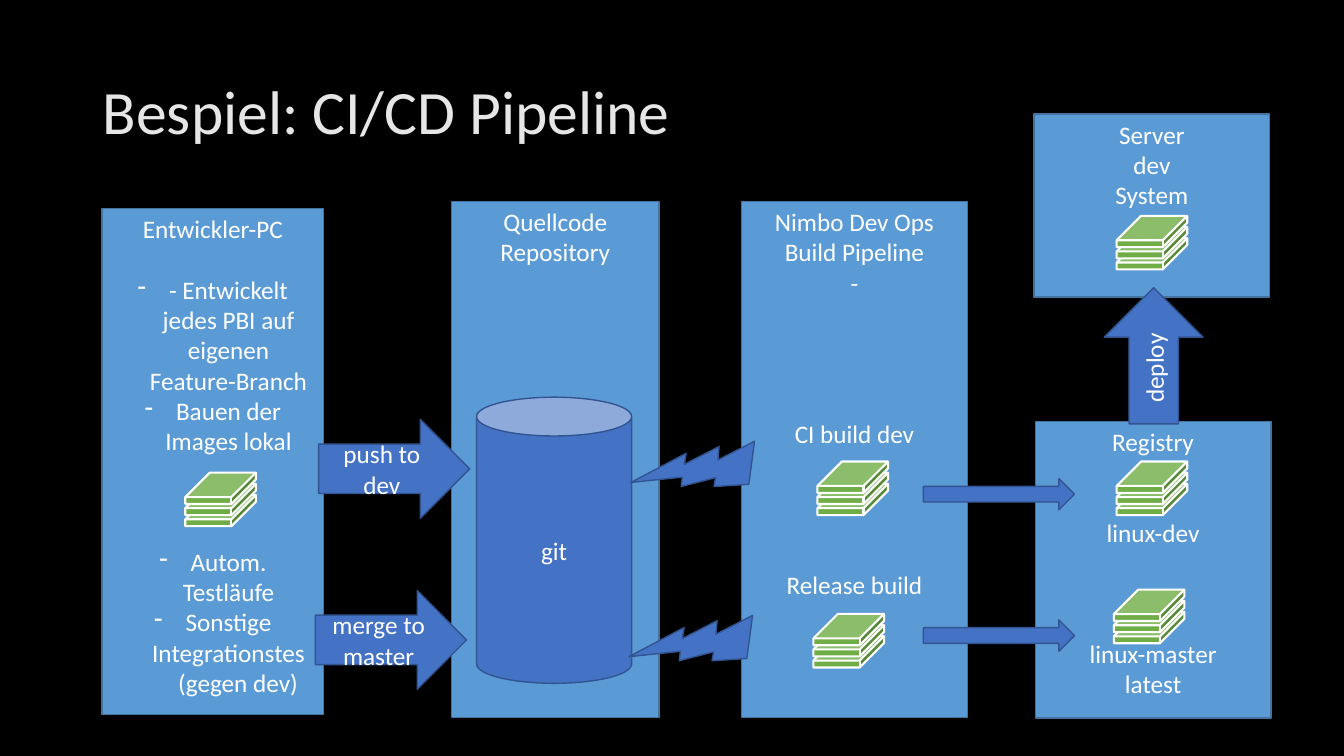
from dataclasses import dataclass

from lxml.etree import SubElement
from pptx import Presentation
from pptx.dml.color import RGBColor
from pptx.enum.shapes import MSO_SHAPE as Kind
from pptx.enum.text import MSO_ANCHOR as Anchor, PP_ALIGN as Align
from pptx.oxml.ns import qn
from pptx.util import Cm, Pt

FONT = "Calibri"
SIZE = 18
ROW = 21.6  # height of one text row in points
WHITE = "FFFFFF"
BLUE, EDGE = "4472C4", "325491"
PALE, RIM = "5B9BD5", "43739E"
GREEN = "70AD47"


@dataclass
class Line:
    text: str
    skip: int = 0  # free rows above
    dash: bool = False


@dataclass
class Part:
    kind: Kind
    left: float
    top: float
    width: float
    height: float
    lines: tuple[Line, ...] = ()
    turn: float = 0


@dataclass
class Stack:
    left: float
    top: float


def color(code: str) -> RGBColor:
    return RGBColor.from_string(code)


def style(font, size: int, code: str) -> None:
    font.name, font.size = FONT, Pt(size)
    font.color.rgb = color(code)


def add_dash(para) -> None:
    props = para._p.get_or_add_pPr()
    props.set("marL", str(Cm(0.79)))
    props.set("indent", str(-Cm(0.79)))
    SubElement(props, qn("a:buFontTx"))
    SubElement(props, qn("a:buChar")).set("char", "-")


def write(frame, lines: tuple[Line, ...], anchor: Anchor) -> None:
    frame.word_wrap = True
    frame.vertical_anchor = anchor
    for i, line in enumerate(lines):
        para = frame.add_paragraph() if i else frame.paragraphs[0]
        para.text = line.text
        para.alignment = Align.CENTER
        style(para.font, SIZE, WHITE)
        if line.skip:
            para.space_before = Pt(line.skip * ROW)
        if line.dash:
            add_dash(para)


def draw(shapes, part: Part, fill: str, edge: str, width: float = 1,
         anchor: Anchor = Anchor.MIDDLE):
    shape = shapes.add_shape(part.kind, Cm(part.left), Cm(part.top),
                             Cm(part.width), Cm(part.height))
    shape.shadow.inherit = False
    shape.fill.solid()
    shape.fill.fore_color.rgb = color(fill)
    shape.line.color.rgb = color(edge)
    shape.line.width = Pt(width)
    shape.rotation = part.turn
    if part.lines:
        write(shape.text_frame, part.lines, anchor)
    return shape


def draw_stack(shapes, stack: Stack) -> None:
    group = shapes.add_group_shape()
    for i in (2, 1, 0):  # lowest layer first
        layer = Part(Kind.CUBE, stack.left, stack.top + i * 0.28, 1.78, 0.79)
        cube = draw(group.shapes, layer, GREEN, WHITE, 1.5)
        cube.adjustments[0] = 0.78


BOXES = (
    Part(Kind.RECTANGLE, 2.57, 5.26, 5.59, 12.75, (
        Line("Entwickler-PC"),
        Line("- Entwickelt jedes PBI auf eigenen Feature-Branch", 1, True),
        Line("Bauen der Images lokal", 0, True),
        Line("Autom. Testläufe", 3, True),
        Line("Sonstige Integrationstes", 0, True),
        Line("\t(gegen dev)"))),
    Part(Kind.RECTANGLE, 11.38, 5.08, 5.23, 13,
         (Line("Quellcode"), Line("Repository"))),
    Part(Kind.RECTANGLE, 18.69, 5.08, 5.69, 13, (
        Line("Nimbo Dev Ops"), Line("Build Pipeline"), Line("-"),
        Line("CI build dev", 4), Line("Release build", 4))),
    Part(Kind.RECTANGLE, 26.09, 10.62, 5.94, 7.47, (
        Line("Registry"), Line("linux-dev", 2),
        Line("linux-master", 3), Line("latest"))),
    Part(Kind.RECTANGLE, 26.06, 2.87, 5.94, 4.62,
         (Line("Server"), Line("dev"), Line("System"))),
)

FLOW = (
    Part(Kind.CAN, 12.01, 10.01, 3.91, 7.21, (Line("git"),)),
    Part(Kind.RIGHT_ARROW, 8.03, 10.57, 3.81, 2.49, (Line("push to dev"),)),
    Part(Kind.RIGHT_ARROW, 7.95, 14.88, 3.81, 2.49,
         (Line("merge to master"),)),
    Part(Kind.LIGHTNING_BOLT, 16.38, 10.49, 2.54, 2.54, turn=122.2),
    Part(Kind.LIGHTNING_BOLT, 16.33, 14.88, 2.54, 2.54, turn=122.2),
    Part(Kind.RIGHT_ARROW, 23.27, 12.06, 3.81, 0.79),
    Part(Kind.RIGHT_ARROW, 23.27, 15.62, 3.81, 0.79),
    Part(Kind.RIGHT_ARROW, 27.36, 7.72, 3.43, 2.49, (Line("deploy"),), 270),
)

STACKS = (
    Stack(4.67, 11.91),
    Stack(20.6, 11.63), Stack(20.5, 15.47),
    Stack(28.14, 11.63), Stack(28.07, 14.86),
    Stack(28.14, 5.44),
)

# Slide and background
deck = Presentation()
deck.slide_width, deck.slide_height = Cm(33.87), Cm(19.05)
slide = deck.slides.add_slide(deck.slide_layouts[5])
slide.background.fill.solid()
slide.background.fill.fore_color.rgb = color("000000")

# Title
title = slide.shapes.title
title.left, title.top = Cm(2.34), Cm(1.04)
title.width, title.height = Cm(29.21), Cm(3.68)
title.text_frame.text = "Bespiel: CI/CD Pipeline"
title.text_frame.vertical_anchor = Anchor.MIDDLE
head = title.text_frame.paragraphs[0]
head.alignment = Align.LEFT
head.line_spacing = 0.9
style(head.font, 44, "E7E6E6")

# Stations, flow between them, image stacks
for box in BOXES:
    draw(slide.shapes, box, PALE, RIM, anchor=Anchor.TOP)
for step in FLOW:
    draw(slide.shapes, step, BLUE, EDGE)
for stack in STACKS:
    draw_stack(slide.shapes, stack)

deck.save("out.pptx")
